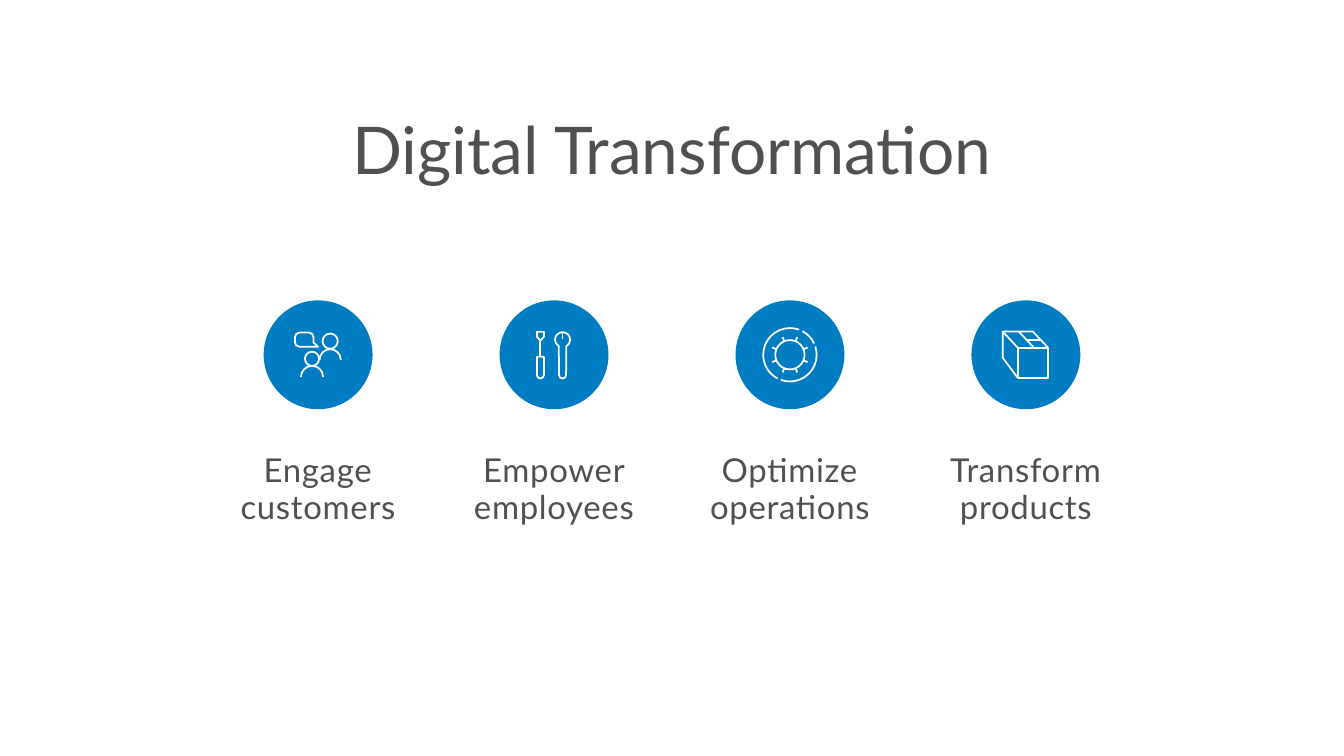
from math import cos, dist, radians, sin, tan

from lxml import etree
from pptx import Presentation
from pptx import util as u
from pptx.dml.color import RGBColor
from pptx.enum import shapes, text
from pptx.oxml.ns import qn

GREY, BLUE, WHITE = "505050", "007CC2", "FFFFFF"
WIDTH, HEIGHT = 13.33, 7.5
COLUMN = 2.34
DISC = 1.08
DISC_MIDDLE = 3.52
LABEL_TOP, LABEL_HEIGHT = 4.32, 1.08


def arc(x, y, radius, start=0, end=360):
    """Start point, then one Bezier node per quadrant; degrees, clockwise from the right."""
    low, high = min(start, end), max(start, end)
    cuts = [low] + [a for a in range(-360, 451, 90) if low < a < high] + [high]
    angles = [radians(a) for a in (cuts if start < end else cuts[::-1])]
    nodes = [(x + radius * cos(angles[0]), y + radius * sin(angles[0]))]
    for a, b in zip(angles, angles[1:]):
        pull = 4 / 3 * tan((b - a) / 4)
        nodes.append((x + radius * (cos(a) - pull * sin(a)), y + radius * (sin(a) + pull * cos(a)),
                      x + radius * (cos(b) + pull * sin(b)), y + radius * (sin(b) - pull * cos(b)),
                      x + radius * cos(b), y + radius * sin(b)))
    return nodes


def add_label(wording, box, margins, size, line_spacing):
    frame = slide.shapes.add_textbox(*map(u.Inches, box)).text_frame
    frame.word_wrap = True
    frame.margin_left = frame.margin_right = u.Inches(margins[0])
    frame.margin_top = frame.margin_bottom = u.Inches(margins[1])
    paragraph = frame.paragraphs[0]
    paragraph.text = wording
    paragraph.alignment = text.PP_ALIGN.CENTER
    paragraph.line_spacing = line_spacing
    font = paragraph.runs[0].font
    font.name, font.size = "Lato", u.Pt(size)
    font.color.rgb = RGBColor.from_string(GREY)
    return frame


# Icon strokes, in hundredths of an inch from the middle of the disc
people = [
    arc(-6, 4, 7), arc(-6, 22, 11, 180, 360),
    arc(12, -13.5, 7.5), arc(12, 5, 10.5, 180, 360),
    arc(-9, -17.5, 4.5, 0, -90) + arc(-18.5, -17.5, 4.5, -90, -180)
    + arc(-18.5, -12.5, 4.5, 180, 90) + [(0, -8), (-4.5, -12), (-4.5, -17.5)],
]
tools = [
    arc(8.5, -15, 7.5, 120, 420) + arc(8.5, 20, 3.5, 0, 180) + [(4.75, -8.5)],
    [(-10, 2), (-17, 2)] + arc(-13.5, 20, 3.5, 180, 0) + [(-10, 2)],
    [(-10, -23), (-17, -23), (-17, -18), (-13.5, -14), (-10, -18), (-10, -23)],
    [(-13.5, -14), (-13.5, 2)], [(8.5, -23), (8.5, -16)],
]
gear = [
    arc(0, 0, 14.5),
    arc(0, 0, 26.5, -70, -243), arc(0, 0, 26.5, 110, -18), arc(0, 0, 26.5, -25, -62),
]
for tooth in range(8):
    angle = radians(22.5 + 45 * tooth)
    gear.append([(r * cos(angle), r * sin(angle)) for r in (14.5, 19)])
carton = [
    [(-7, -23), (8, -7)], [(14, -15), (0, -15)],
    [(-8, -7), (22, -7), (22, 23), (-8, 23), (-8, -7)],
    [(-8, -7), (-23, -23), (-23, 3), (-8, 23)],
    [(-23, -23), (7, -23), (22, -7)],
]
goals = [
    ("Engage customers", people),
    ("Empower employees", tools),
    ("Optimize operations", gear),
    ("Transform products", carton),
]

prs = Presentation()
prs.slide_width, prs.slide_height = u.Inches(WIDTH), u.Inches(HEIGHT)
slide = prs.slides.add_slide(prs.slide_layouts[6])

add_label("Digital Transformation", (3.24, 1.07, 6.85, 0.98), (0.16, 0.1), 47, 0.9)

for column, (goal, strokes) in enumerate(goals):
    center = WIDTH / 2 + (column - (len(goals) - 1) / 2) * COLUMN

    emblem = slide.shapes.add_group_shape().shapes
    disc = emblem.add_shape(
        shapes.MSO_SHAPE.OVAL, u.Inches(center - DISC / 2),
        u.Inches(DISC_MIDDLE - DISC / 2), u.Inches(DISC), u.Inches(DISC))
    disc.shadow.inherit = False
    disc.fill.solid()
    disc.fill.fore_color.rgb = RGBColor.from_string(BLUE)
    disc.line.fill.background()

    origin = (center, DISC_MIDDLE)
    outlines = [[[u.Inches(origin[i % 2] + value / 100) for i, value in enumerate(node)]
                 for node in stroke] for stroke in strokes]
    pen = emblem.build_freeform(*outlines[0][0])
    for number, (stroke, outline) in enumerate(zip(strokes, outlines)):
        if number:
            pen.move_to(*outline[0])
        pen.add_line_segments([node[-2:] for node in outline[1:]],
                              close=dist(stroke[0], stroke[-1][-2:]) < 0.1)
    icon = pen.convert_to_shape()
    icon.shadow.inherit = False
    icon.fill.background()
    icon.line.width = u.Pt(1.25)
    icon.line.color.rgb = RGBColor.from_string(WHITE)

    # Bend the segments whose node carries two control points
    segments = list(icon._element.iter(qn("a:lnTo")))
    nodes = [node for outline in outlines for node in outline[1:]]
    for segment, node in zip(segments, nodes):
        if len(node) == 6:
            curve = etree.Element(qn("a:cubicBezTo"))
            for x, y in zip(node[::2], node[1::2]):
                etree.SubElement(curve, qn("a:pt"), x=str(x - icon.left), y=str(y - icon.top))
            segment.getparent().replace(segment, curve)

    box = (center - COLUMN / 2, LABEL_TOP, COLUMN, LABEL_HEIGHT)
    label = add_label(goal, box, (0.2, 0.16), 23.5, 0.95)
    label.vertical_anchor = text.MSO_ANCHOR.MIDDLE
    label.auto_size = text.MSO_AUTO_SIZE.SHAPE_TO_FIT_TEXT
    label.paragraphs[0].runs[0]._r.get_or_add_rPr().set("spc", "50")

prs.save("out.pptx")
